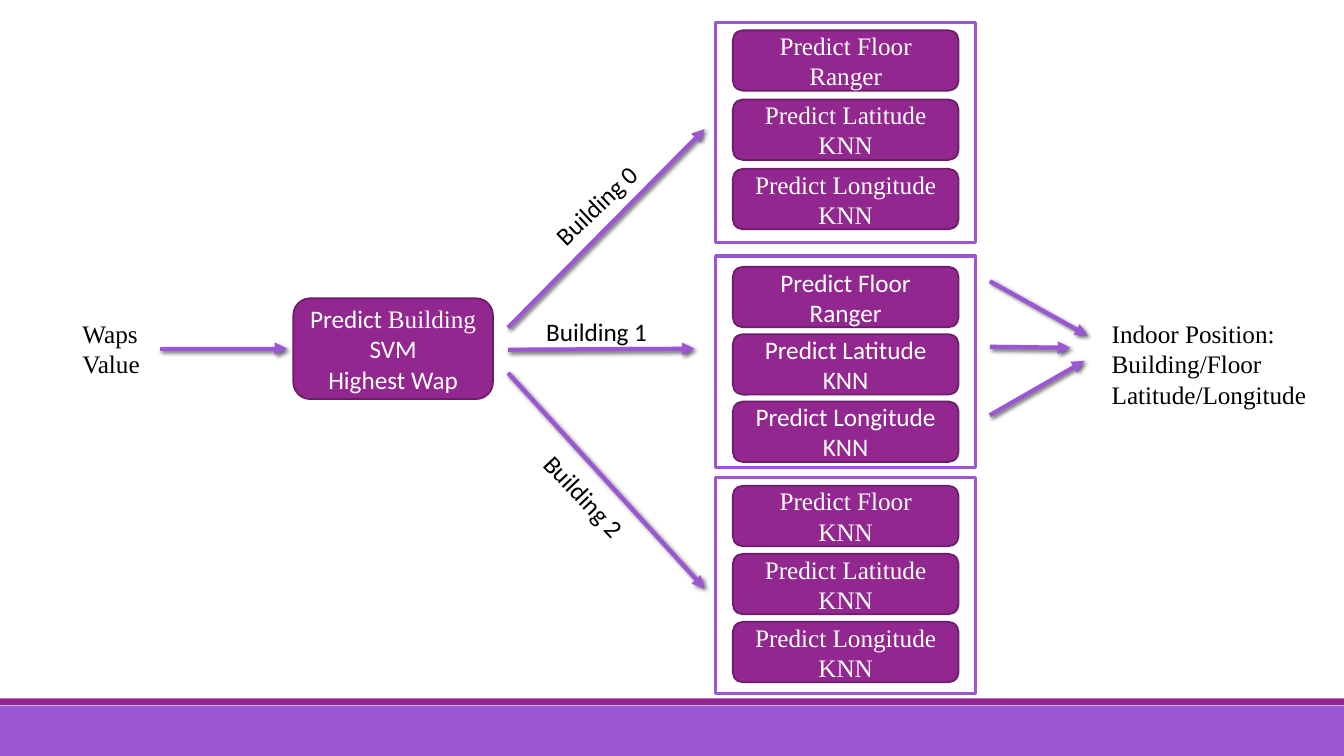
from lxml import etree
from pptx import Presentation
from pptx.dml.color import RGBColor
from pptx.enum.shapes import MSO_CONNECTOR as Connector, MSO_SHAPE as Shape
from pptx.enum.text import MSO_ANCHOR as Anchor, PP_ALIGN as Align
from pptx.oxml import parse_xml
from pptx.oxml.ns import nsdecls, qn
from pptx.util import Pt

PURPLE = RGBColor(0x92, 0x27, 0x8F)
DARK_PURPLE = RGBColor(0x6C, 0x1D, 0x6A)
VIOLET = RGBColor(0x9B, 0x57, 0xD3)
WHITE = RGBColor(0xFF, 0xFF, 0xFF)
BLACK = RGBColor(0x00, 0x00, 0x00)
SANS, SERIF = "Calibri", "Times New Roman"

SLIDE_WIDTH, SLIDE_HEIGHT = 960, 540

# Each line of text is a list of (words, font) runs.
BUILDING_BOX = (209.5, 213.1, 142.6, 72)
BUILDING_LINES = [
    [("Predict ", SANS), ("Building", SERIF)],
    [("SVM", SANS)],
    [("Highest Wap", SANS)],
]

# panel top, panel height, first box top, box step, font, floor model
PANELS = [
    (15.8, 157.7, 21.6, 49.5, SERIF, "Ranger"),
    (182.9, 151.2, 190.6, 48.1, SANS, "Ranger"),
    (341.3, 154.1, 347, 48.6, SERIF, "KNN"),
]
PANEL_LEFT, PANEL_WIDTH = 511.2, 185.8
BOX_WIDTH, BOX_HEIGHT = 161.3, 43.2

# start x, start y, end x, end y
ARROWS = [
    (114.5, 249.1, 205.2, 249.1),
    (362.9, 234, 503.3, 92.2),
    (362.9, 249.8, 496.1, 249.1),
    (362.9, 266.4, 503.3, 420.5),
    (707, 200.9, 776.9, 239.8),
    (707, 247.7, 764.6, 248.4),
    (707, 296.6, 774.7, 257.8),
]

# left, top, width, height, rotation, font, lines
LABELS = [
    (51.8, 223.9, 76.3, 51.1, 0, SERIF, ["Waps Value"]),
    (787, 223.9, 161.3, 72.7, 0, SERIF,
     ["Indoor Position:", "Building/Floor", "Latitude/Longitude"]),
    (381.6, 130.3, 92.2, 28.8, 316.5, SANS, ["Building 0"]),
    (383, 222.5, 92.2, 28.8, 0, SANS, ["Building 1"]),
    (373, 342, 92.2, 28.8, 46.7, SANS, ["Building 2"]),
]


def write_text(shape, lines, color=BLACK, align=Align.LEFT, anchor=Anchor.TOP):
    frame = shape.text_frame
    frame.word_wrap = True
    frame.vertical_anchor = anchor
    for index, runs in enumerate(lines):
        paragraph = frame.add_paragraph() if index else frame.paragraphs[0]
        paragraph.alignment = align
        for words, font in runs:
            run = paragraph.add_run()
            run.text = words
            run.font.name = font
            run.font.size = Pt(18)
            run.font.color.rgb = color


def add_block(shapes, kind, box, fill, line=None, line_width=0):
    shape = shapes.add_shape(kind, *map(Pt, box))
    shape.shadow.inherit = False
    shape.fill.solid()
    shape.fill.fore_color.rgb = fill
    if line is None:
        shape.line.fill.background()
    else:
        shape.line.color.rgb = line
        shape.line.width = Pt(line_width)
    return shape


def add_step(shapes, box, lines):
    """Add a rounded purple box with centred white text."""
    step = add_block(shapes, Shape.ROUNDED_RECTANGLE, box, PURPLE, DARK_PURPLE, 1.25)
    write_text(step, lines, color=WHITE, align=Align.CENTER, anchor=Anchor.MIDDLE)


def add_arrow(shapes, ends):
    arrow = shapes.add_connector(Connector.STRAIGHT, *map(Pt, ends))
    arrow.line.color.rgb = VIOLET
    arrow.line.width = Pt(3)
    etree.SubElement(arrow.line._get_or_add_ln(), qn("a:tailEnd"), type="triangle")
    arrow._element.spPr.append(parse_xml(
        f'<a:effectLst {nsdecls("a")}>'
        f'<a:outerShdw blurRad="{Pt(3)}" dist="{Pt(2)}" dir="2700000" rotWithShape="0">'
        '<a:srgbClr val="000000"><a:alpha val="60000"/></a:srgbClr>'
        '</a:outerShdw></a:effectLst>'))


def add_panel(shapes, top, height, first_top, step, font, floor_model):
    """Add a framed group of three prediction boxes."""
    group = shapes.add_group_shape().shapes
    add_block(group, Shape.RECTANGLE, (PANEL_LEFT, top, PANEL_WIDTH, height),
              WHITE, VIOLET, 2.25)
    box_left = PANEL_LEFT + (PANEL_WIDTH - BOX_WIDTH) / 2
    models = {"Floor": floor_model, "Latitude": "KNN", "Longitude": "KNN"}
    for index, (target, model) in enumerate(models.items()):
        box = (box_left, first_top + index * step, BOX_WIDTH, BOX_HEIGHT)
        add_step(group, box, [[(f"Predict {target}", font)], [(model, font)]])


def main():
    presentation = Presentation()
    presentation.slide_width = Pt(SLIDE_WIDTH)
    presentation.slide_height = Pt(SLIDE_HEIGHT)
    slide = presentation.slides.add_slide(presentation.slide_layouts[6])
    shapes = slide.shapes

    add_block(shapes, Shape.RECTANGLE, (0, 504, SLIDE_WIDTH, 36), VIOLET)
    add_block(shapes, Shape.RECTANGLE, (0, 498.8, SLIDE_WIDTH, 5), PURPLE)
    add_step(shapes, BUILDING_BOX, BUILDING_LINES)
    for panel in PANELS:
        add_panel(shapes, *panel)
    for ends in ARROWS:
        add_arrow(shapes, ends)
    for left, top, width, height, rotation, font, lines in LABELS:
        label = shapes.add_textbox(Pt(left), Pt(top), Pt(width), Pt(height))
        label.rotation = rotation
        write_text(label, [[(line, font)] for line in lines])

    presentation.save("out.pptx")


if __name__ == "__main__":
    main()
